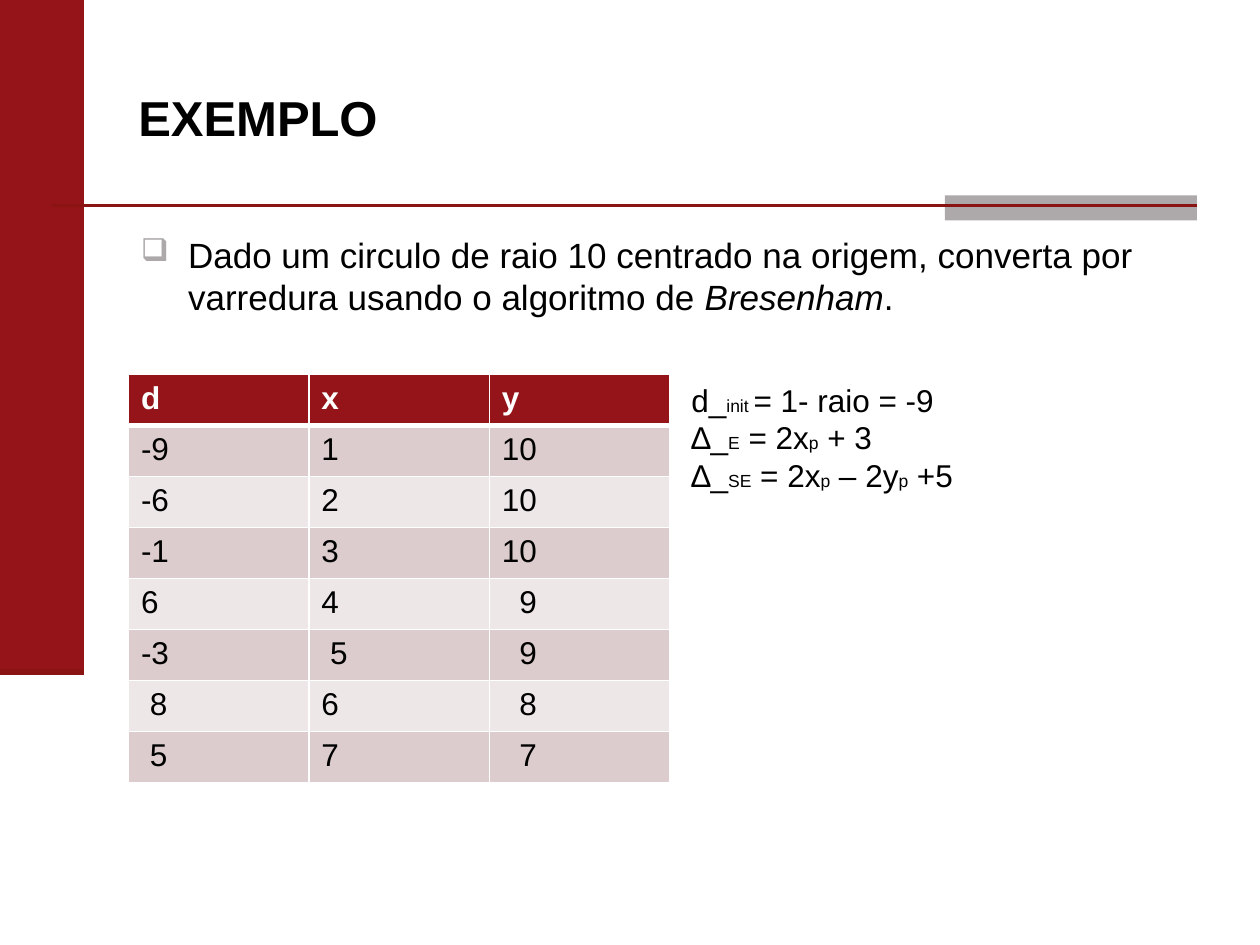
from lxml import etree
from pptx import Presentation
from pptx.dml.color import RGBColor
from pptx.enum import shapes, text
from pptx.oxml.ns import qn
from pptx.util import Pt

COLORS = {"red": "94141A", "dark_red": "891411", "gray": "ADA9AB", "black": "000000",
          "white": "FFFFFF", "odd_row": "DCCCCD", "even_row": "EEE7E8"}
FONT = "Arial"
DIGIT_STEP = 5  # indent unit for aligning the numbers

TITLE = "EXEMPLO"
STATEMENT = [
    ("Dado um circulo de raio 10 centrado na origem, converta por varredura "
     "usando o algoritmo de ", {}),
    ("Bresenham", {"italic": True}),
    (".", {}),
]
SMALL = {"size": Pt(10)}
FORMULAS = [
    [("d_", {}), ("init ", SMALL), ("= 1- raio = -9", {})],
    [("∆_", {}), ("E", SMALL), (" = 2x", {}), ("p", SMALL), (" + 3", {})],
    [("∆_", {}), ("SE", SMALL), (" = 2x", {}), ("p", SMALL), (" – 2y", {}),
     ("p", SMALL), (" +5", {})],
]
HEADER = ("d", "x", "y")
STEPS = [(-9, 1, 10), (-6, 2, 10), (-1, 3, 10), (6, 4, 9),
         (-3, 5, 9), (8, 6, 8), (5, 7, 7)]
INDENTS = {(4, 2): 2, (5, 1): 1, (5, 2): 2, (6, 0): 1, (6, 2): 2, (7, 0): 1, (7, 2): 2}

BARS = [((0, 0, 48, 384), "red"), ((540, 111.6, 144, 14.4), "gray")]
RULES = [((30, 117.6, 684, 117.6), 1.5), ((0, 384, 48, 384), 3.5)]
TABLE_LEFT, TABLE_TOP, COLUMN_WIDTH, ROW_HEIGHT = 73.4, 214, 103.1, 29.16


def rgb(name):
    return RGBColor.from_string(COLORS[name])


def write_runs(paragraph, runs, size, color="black", **common):
    for content, changes in runs:
        run = paragraph.add_run()
        run.text = content
        run.font.color.rgb = rgb(color)
        for name, value in {"name": FONT, "size": Pt(size), **common, **changes}.items():
            setattr(run.font, name, value)


def add_text_frame(slide, box, anchor=text.MSO_ANCHOR.TOP):
    frame = slide.shapes.add_textbox(*map(Pt, box)).text_frame
    frame.word_wrap = True
    frame.vertical_anchor = anchor
    return frame


def add_bullet(paragraph, indent, symbol, color, percent):
    properties = paragraph._p.get_or_add_pPr()
    properties.set("marL", str(Pt(indent)))
    properties.set("indent", str(-Pt(indent)))
    bullet_color = etree.SubElement(properties, qn("a:buClr"))
    etree.SubElement(bullet_color, qn("a:srgbClr"), val=COLORS[color])
    etree.SubElement(properties, qn("a:buSzPct"), val=str(percent * 1000))
    etree.SubElement(properties, qn("a:buChar"), char=symbol)


def set_borders(cell, widths):
    properties = cell._tc.get_or_add_tcPr()
    for position, (side, width) in enumerate(widths.items()):
        line = etree.Element(qn(f"a:ln{side}"), w=str(Pt(width)))
        fill = etree.SubElement(line, qn("a:solidFill"))
        etree.SubElement(fill, qn("a:srgbClr"), val=COLORS["white"])
        properties.insert(position, line)


def add_decoration(slide):
    for box, color in BARS:
        bar = slide.shapes.add_shape(shapes.MSO_SHAPE.RECTANGLE, *map(Pt, box))
        bar.shadow.inherit = False
        bar.fill.solid()
        bar.fill.fore_color.rgb = rgb(color)
        bar.line.fill.background()
    for ends, width in RULES:
        rule = slide.shapes.add_connector(shapes.MSO_CONNECTOR.STRAIGHT, *map(Pt, ends))
        rule.line.color.rgb = rgb("dark_red")
        rule.line.width = Pt(width)
        etree.SubElement(rule._element.spPr, qn("a:effectLst"))


def add_steps_table(slide):
    rows = [HEADER, *STEPS]
    table = slide.shapes.add_table(
        len(rows), len(HEADER), Pt(TABLE_LEFT), Pt(TABLE_TOP),
        Pt(COLUMN_WIDTH * len(HEADER)), Pt(ROW_HEIGHT * len(rows))).table
    for column in table.columns:
        column.width = Pt(COLUMN_WIDTH)
    for r, values in enumerate(rows):
        table.rows[r].height = Pt(ROW_HEIGHT)
        is_header = r == 0
        fill = "red" if is_header else "odd_row" if r % 2 else "even_row"
        for c, value in enumerate(values):
            cell = table.cell(r, c)
            cell.fill.solid()
            cell.fill.fore_color.rgb = rgb(fill)
            set_borders(cell, {"L": 1, "R": 1, "T": 3 if r == 1 else 1,
                               "B": 3 if is_header else 1})
            paragraph = cell.text_frame.paragraphs[0]
            if (r, c) in INDENTS:
                margin = Pt(DIGIT_STEP * INDENTS[r, c])
                paragraph._p.get_or_add_pPr().set("marL", str(margin))
            write_runs(paragraph, [(str(value), {})], 18,
                       "white" if is_header else "black", bold=is_header)


def main():
    presentation = Presentation()
    presentation.slide_width, presentation.slide_height = Pt(720), Pt(540)
    slide = presentation.slides.add_slide(presentation.slide_layouts[6])
    add_decoration(slide)

    title = add_text_frame(slide, (72, 21.6, 612, 90), text.MSO_ANCHOR.MIDDLE).paragraphs[0]
    title.alignment = text.PP_ALIGN.JUSTIFY
    write_runs(title, [(TITLE, {})], 28, bold=True)

    statement = add_text_frame(slide, (73.4, 129.6, 612, 356.4)).paragraphs[0]
    add_bullet(statement, 27, "❑", "gray", 90)
    write_runs(statement, STATEMENT, 20)

    add_steps_table(slide)

    formulas = add_text_frame(slide, (388, 214, 292.3, 116.6))
    for index, runs in enumerate(FORMULAS):
        paragraph = formulas.add_paragraph() if index else formulas.paragraphs[0]
        write_runs(paragraph, runs, 18)

    presentation.save("out.pptx")


if __name__ == "__main__":
    main()
